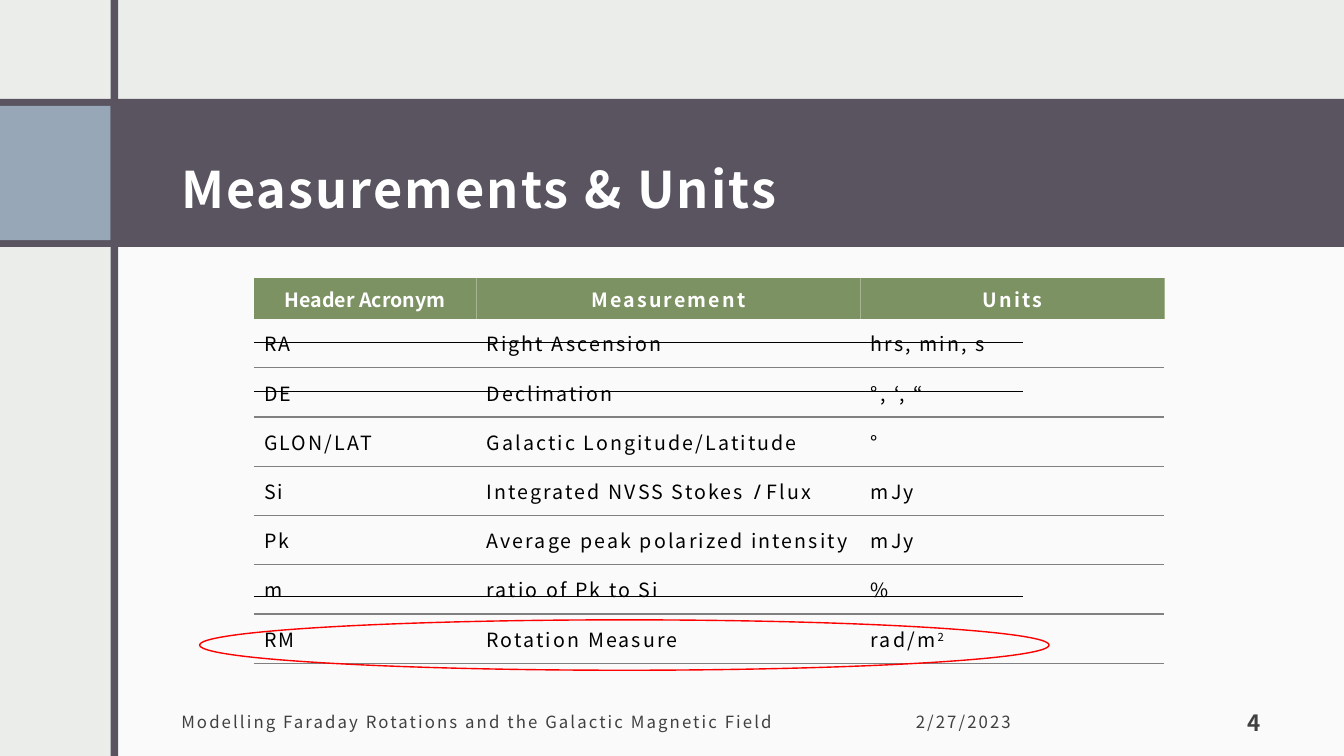
from lxml import etree
from pptx import Presentation
from pptx.dml import color
from pptx.enum import shapes, text
from pptx.oxml import ns
from pptx.util import Cm, Pt

FONT = "Noto Sans CJK JP"
INK, GREY, SLATE, WHITE = "000000", "404040", "595460", "FFFFFF"
NO_STYLE = "{2D5ABB26-0587-4C30-8999-92F81FD0307C}"
LEFT, CENTER, RIGHT = text.PP_ALIGN.LEFT, text.PP_ALIGN.CENTER, text.PP_ALIGN.RIGHT
MIDDLE, BOTTOM = text.MSO_ANCHOR.MIDDLE, text.MSO_ANCHOR.BOTTOM

TABLE_LEFT, TABLE_TOP = 6.4, 7.01
COLUMN_WIDTHS = (5.61, 9.68, 7.65)
HEADER_HEIGHT, ROW_HEIGHT = 1.02, 1.24
HEADERS = ("Header Acronym", "Measurement", "Units")
# A cell is a string, or a list of (words, style) pairs
ROWS = (
    ("RA", "Right Ascension", "hrs, min, s"),
    ("DE", "Declination", "°, ‘, “"),
    ("GLON/LAT", "Galactic Longitude/Latitude", "°"),
    ("Si", [("Integrated NVSS Stokes ", ""), ("I", "italic"), (" Flux", "")], "mJy"),
    ("Pk", "Average peak polarized intensity", "mJy"),
    ("m", "ratio of Pk to Si", "%"),
    ("RM", "Rotation Measure", [("rad/m", ""), ("2", "superscript")]),
)
STRIKE_HEIGHTS = (8.64, 9.86, 15.04)


def rgb(value):
    return color.RGBColor.from_string(value)


def write(para, content, size, ink, bold=False, align=LEFT, spacing=1.5):
    """Fill a paragraph and format it as a whole."""
    para.alignment = align
    spans = [(content, "")] if isinstance(content, str) else content
    for words, style in spans:
        span = para.add_run()
        span.text = words
        if style == "italic":
            span.font.italic = True
        elif style == "superscript":
            span.font.element_props = None
            span._r.get_or_add_rPr().set("baseline", "30000")
    font = para.font
    font.name, font.size, font.bold = FONT, Pt(size), bold
    font.color.rgb = rgb(ink)
    defaults = para._p.get_or_add_pPr().find(ns.qn("a:defRPr"))
    defaults.set("spc", str(int(spacing * 100)))


def set_frame(frame, anchor):
    frame.word_wrap = True
    frame.auto_size = text.MSO_AUTO_SIZE.NONE
    frame.vertical_anchor = anchor
    frame.margin_left = frame.margin_right = frame.margin_top = Cm(0.3)
    frame.margin_bottom = Cm(0.25)


def add_block(page, left, top, width, height, fill, alpha=None):
    block = page.shapes.add_shape(shapes.MSO_SHAPE.RECTANGLE,
                                  Cm(left), Cm(top), Cm(width), Cm(height))
    block.shadow.inherit = False
    block.fill.solid()
    block.fill.fore_color.rgb = rgb(fill)
    block.line.fill.background()
    if alpha:
        swatch = block._element.spPr.find(".//" + ns.qn("a:srgbClr"))
        etree.SubElement(swatch, ns.qn("a:alpha"), val=str(alpha * 1000))


def add_footer(page, left, width, words, size=12, bold=False, align=LEFT, anchor=MIDDLE):
    box = page.shapes.add_textbox(Cm(left), Cm(17.53), Cm(width), Cm(1.27))
    set_frame(box.text_frame, anchor)
    write(box.text_frame.paragraphs[0], words, size, GREY, bold, align)


def set_title(page, words):
    title = page.shapes.title
    title.left, title.top, title.width, title.height = Cm(4.27), Cm(2.9), Cm(27.81), Cm(2.87)
    set_frame(title.text_frame, MIDDLE)
    para = title.text_frame.paragraphs[0]
    para.line_spacing = 1.5
    write(para, words, 36, WHITE, bold=True)
    # Bring the title in front of the blocks
    page.shapes._spTree.append(title._element)


def add_border(cell, side, ink):
    border = etree.SubElement(cell._tc.get_or_add_tcPr(), ns.qn("a:" + side), w=str(Pt(1)))
    fill = etree.SubElement(border, ns.qn("a:solidFill"))
    etree.SubElement(fill, ns.qn("a:srgbClr"), val=ink)


def add_measurements(page):
    height = HEADER_HEIGHT + ROW_HEIGHT * len(ROWS)
    holder = page.shapes.add_table(len(ROWS) + 1, len(HEADERS), Cm(TABLE_LEFT), Cm(TABLE_TOP),
                                   Cm(sum(COLUMN_WIDTHS)), Cm(height))
    table = holder.table
    table.horz_banding = False
    table._tbl.tblPr.find(ns.qn("a:tableStyleId")).text = NO_STYLE
    for column, width in zip(table.columns, COLUMN_WIDTHS):
        column.width = Cm(width)
    for index, contents in enumerate((HEADERS,) + ROWS):
        table.rows[index].height = Cm(ROW_HEIGHT if index else HEADER_HEIGHT)
        for position, content in enumerate(contents):
            cell = table.cell(index, position)
            cell.vertical_anchor = MIDDLE
            para = cell.text_frame.paragraphs[0]
            if index:
                add_border(cell, "lnB", "808080")
                cell.fill.background()
                write(para, content, 14, INK)
            else:
                add_border(cell, "lnR", "A5B592")
                cell.fill.solid()
                cell.fill.fore_color.rgb = rgb("7D9263")
                write(para, content, 14, WHITE, True, CENTER, 1.5 if position else 0)


def add_strike(page, top):
    strike = page.shapes.add_connector(shapes.MSO_CONNECTOR.STRAIGHT,
                                       Cm(TABLE_LEFT), Cm(top), Cm(25.78), Cm(top))
    strike.line.color.rgb = rgb(INK)
    strike.line.width = Pt(0.75)
    etree.SubElement(strike._element.spPr, ns.qn("a:effectLst"))


def add_ring(page, left, top, width, height):
    ring = page.shapes.add_shape(shapes.MSO_SHAPE.OVAL,
                                 Cm(left), Cm(top), Cm(width), Cm(height))
    ring.shadow.inherit = False
    ring.fill.background()
    ring.line.color.rgb = rgb("FF0000")
    ring.line.width = Pt(1)


def main():
    deck = Presentation()
    deck.slide_width, deck.slide_height = Cm(33.87), Cm(19.05)
    page = deck.slides.add_slide(deck.slide_layouts[5])

    # Background and blocks
    page.background.fill.solid()
    page.background.fill.fore_color.rgb = rgb("EBEDEB")
    add_block(page, 2.9, 5.92, 30.97, 13.13, WHITE, alpha=75)
    add_block(page, 0, 2.49, 33.87, 3.73, SLATE)
    add_block(page, 0, 2.67, 2.79, 3.38, "97A7B8")
    add_block(page, 2.79, 0, 0.19, 19.05, SLATE)

    # Title and footer
    set_title(page, "Measurements & Units")
    add_footer(page, 4.27, 16.31, "Modelling Faraday Rotations and the Galactic Magnetic Field")
    add_footer(page, 22.78, 5.97, "2/27/2023")
    add_footer(page, 29.36, 2.72, "4", 16, True, RIGHT, BOTTOM)

    # Table with its marks
    add_measurements(page)
    for top in STRIKE_HEIGHTS:
        add_strike(page, top)
    add_ring(page, 5.03, 15.62, 21.41, 1.27)

    deck.save("out.pptx")


if __name__ == "__main__":
    main()
